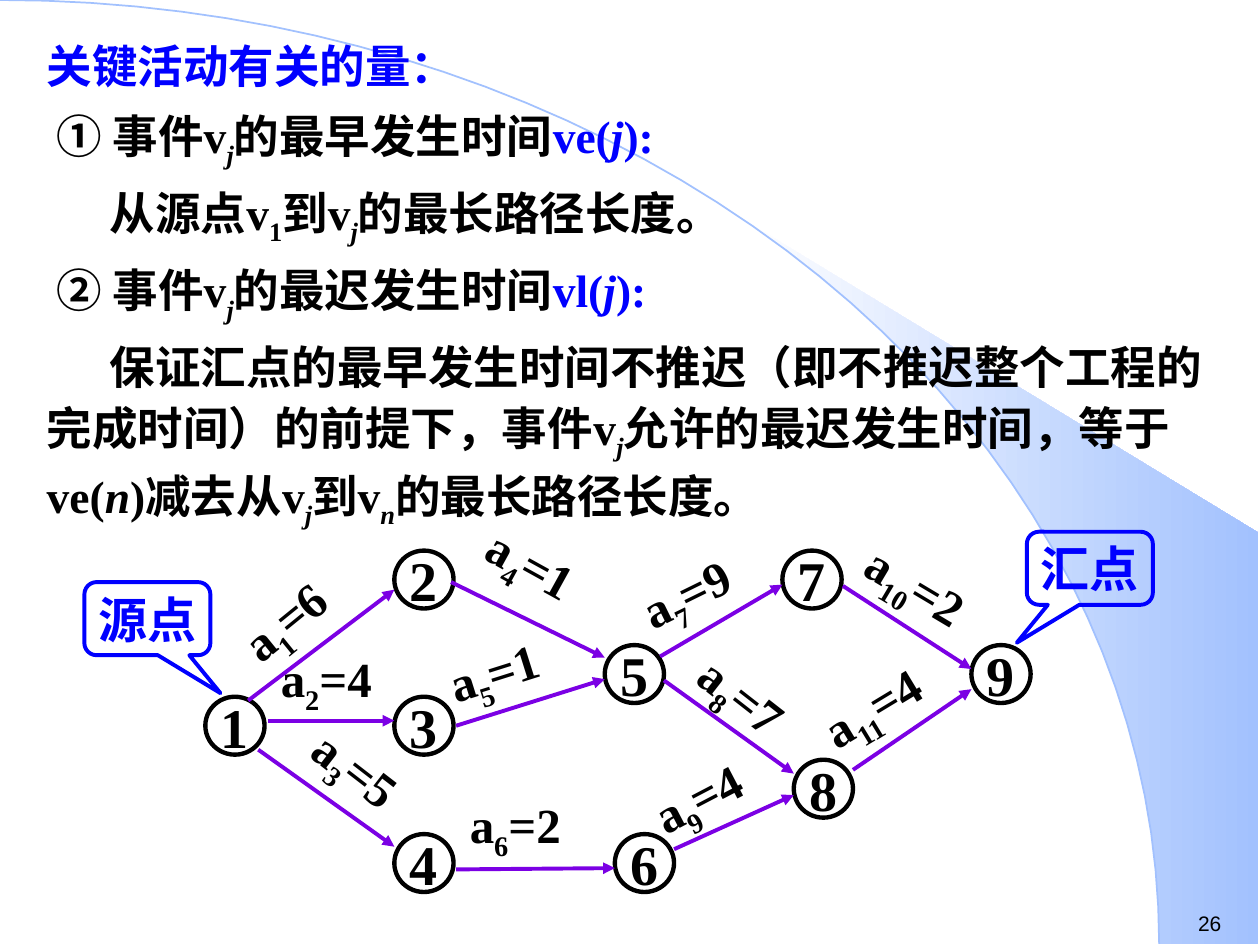
import math
from dataclasses import dataclass
from typing import NamedTuple

import pptx
import pptx.dml.color
import pptx.enum.shapes
import pptx.enum.text
import pptx.oxml
import pptx.oxml.ns
import pptx.util
from pptx.util import Inches

RGB = pptx.dml.color.RGBColor
SHAPE = pptx.enum.shapes.MSO_SHAPE
ALIGN = pptx.enum.text.PP_ALIGN
ANCHOR = pptx.enum.text.MSO_ANCHOR
AUTO = pptx.enum.text.MSO_AUTO_SIZE


@dataclass(frozen=True)
class Theme:
    serif: str = "Times New Roman"
    sans: str = "Arial"
    black: RGB = RGB(0, 0, 0)
    blue: RGB = RGB(0, 0, 0xFF)
    purple: RGB = RGB(0x7B, 0, 0xE4)
    sky: RGB = RGB(0xA2, 0xC1, 0xFE)
    white: RGB = RGB(0xFF, 0xFF, 0xFF)
    body_size: float = 26
    node_size: float = 32
    label_size: float = 28
    page_size: float = 12


THEME = Theme()


class Span(NamedTuple):
    text: str
    sub: bool = False
    italic: bool = False
    color: RGB = THEME.black


class Line(NamedTuple):
    spans: list[Span]
    indent: float = 0


class Node(NamedTuple):
    name: str
    left: float
    top: float


class Activity(NamedTuple):
    """An arrow from (x1, y1) to (x2, y2) and its rotated label."""
    number: str
    weight: str
    x1: float
    y1: float
    x2: float
    y2: float
    label_left: float
    label_top: float
    angle: float = 0
    label_width: float = 1.42


class Callout(NamedTuple):
    text: str
    left: float
    top: float
    pointer_x: float


SUB_J = Span("j", sub=True, italic=True)


def definition(start: str, function: str) -> list[Span]:
    return [Span(start), SUB_J,
            Span("的最早发生时间" if function == "ve" else "的最迟发生时间"),
            Span(f"{function}(", color=THEME.blue),
            Span("j", italic=True, color=THEME.blue),
            Span("):", color=THEME.blue)]


LINES = [
    Line([Span("关键活动有关的量：", color=THEME.blue)]),
    Line(definition("① 事件v", "ve"), 0.08),
    Line([Span("从源点v"), Span("1", sub=True), Span("到v"), SUB_J,
          Span("的最长路径长度。")], 0.5),
    Line(definition("② 事件v", "vl"), 0.08),
    Line([Span("保证汇点的最早发生时间不推迟（即不推迟整个工程的完成时间）的前提下，事件v"),
          SUB_J, Span("允许的最迟发生时间，等于ve("), Span("n", italic=True),
          Span(")减去从v"), SUB_J, Span("到v"), Span("n", sub=True, italic=True),
          Span("的最长路径长度。")], 0.5),
]

NODES = [
    Node("1", 1.63, 5.53), Node("2", 3.13, 4.37), Node("3", 3.13, 5.53),
    Node("4", 3.13, 6.62), Node("5", 4.8, 5.12), Node("6", 4.88, 6.62),
    Node("7", 6.21, 4.37), Node("8", 6.3, 6.03), Node("9", 7.71, 5.12),
]

ACTIVITIES = [
    Activity("1", "6", 1.97, 5.56, 3.13, 4.68, 1.77, 4.56, 320.9, 1.17),
    Activity("2", "4", 2.13, 5.72, 3.13, 5.72, 2.13, 5.1),
    Activity("3", "5", 2.05, 5.95, 3.13, 6.72, 2.32, 5.97, 37.7),
    Activity("4", "1", 3.58, 4.62, 4.8, 5.22, 3.73, 4.31, 28.9),
    Activity("5", "1", 3.62, 5.76, 4.8, 5.39, 3.45, 4.97, 342.4),
    Activity("6", "2", 3.62, 6.9, 4.88, 6.89, 3.63, 6.26),
    Activity("7", "9", 5.24, 5.21, 6.21, 4.64, 4.96, 4.31, 333.8),
    Activity("8", "7", 5.27, 5.4, 6.3, 6.14, 5.38, 5.39, 38),
    Activity("9", "4", 5.35, 6.74, 6.3, 6.31, 5.05, 5.93, 332.4),
    Activity("10", "2", 6.69, 4.65, 7.71, 5.31, 6.73, 4.46, 30.9),
    Activity("11", "4", 6.77, 6.11, 7.71, 5.47, 6.38, 5.22, 328.8),
]

CALLOUTS = [Callout("源点", 0.67, 4.62, 0.58), Callout("汇点", 8.15, 4.22, -0.58)]


def add_spans(paragraph, spans: list[Span], size: float) -> None:
    for span in spans:
        run = paragraph.add_run()
        run.text = span.text
        style_font(run.font, size, span.color)
        run.font.italic = span.italic
        if span.sub:
            run._r.get_or_add_rPr().set("baseline", "-25000")


def style_font(font, size: float, color: RGB, name: str = THEME.serif, bold: bool = True) -> None:
    font.name, font.size, font.bold = name, pptx.util.Pt(size), bold
    font.color.rgb = color


def outline(shape, color: RGB, width: float) -> None:
    shape.shadow.inherit = False
    shape.fill.background()
    shape.line.color.rgb = color
    shape.line.width = pptx.util.Pt(width)


def centre_text(shape, text: str, size: float, color: RGB) -> None:
    frame = shape.text_frame
    frame.margin_left = frame.margin_right = frame.margin_top = frame.margin_bottom = 0
    frame.word_wrap = False
    frame.vertical_anchor = ANCHOR.MIDDLE
    frame.text = text
    frame.paragraphs[0].alignment = ALIGN.CENTER
    style_font(frame.paragraphs[0].runs[0].font, size, color)


def add_background(shapes) -> None:
    """Draw a quarter ellipse and the shaded beam that follows its lower part."""
    radius_x, radius_y = 9.2, 7.49

    def arc(start: float, steps: int = 40) -> list[tuple[int, int]]:
        angles = [start + (math.pi / 2 - start) * i / steps for i in range(steps + 1)]
        return [(Inches(radius_x * math.sin(a)), Inches(radius_y * (1 - math.cos(a))))
                for a in angles]

    def trace(points: list[tuple[int, int]], close: bool):
        builder = shapes.build_freeform(*points[0])
        builder.add_line_segments(points[1:], close=close)
        return builder.convert_to_shape()

    corners = [(Inches(9.99), Inches(7.49)), (Inches(9.99), Inches(4.23))]
    beam = trace(arc(math.asin(5.89 / radius_x)) + corners, close=True)
    beam.shadow.inherit = False
    beam.line.fill.background()
    beam.fill.gradient()
    beam.fill.gradient_angle = 0
    for stop, color, position in zip(beam.fill.gradient_stops, (THEME.white, THEME.sky), (0, 1)):
        stop.color.rgb, stop.position = color, position
    outline(trace(arc(0), close=False), THEME.sky, 1)


def fill_body(body) -> None:
    body.left, body.top, body.width, body.height = map(Inches, (0.27, 0.25, 9.53, 3.78))
    frame = body.text_frame
    frame.auto_size = AUTO.NONE
    for i, line in enumerate(LINES):
        paragraph = frame.add_paragraph() if i else frame.paragraphs[0]
        properties = paragraph._p.get_or_add_pPr()
        properties.set("marL", "0")
        properties.set("indent", str(Inches(line.indent)))
        properties.append(pptx.oxml.parse_xml(
            f"<a:buNone {pptx.oxml.ns.nsdecls('a')}/>"))
        paragraph.line_spacing = 1.1 if i else 1.0
        paragraph.space_before = pptx.util.Pt(0.2 * THEME.body_size if i else 0)
        add_spans(paragraph, line.spans, THEME.body_size)


def add_node(shapes, node: Node) -> None:
    circle = shapes.add_shape(SHAPE.OVAL, Inches(node.left), Inches(node.top),
                              Inches(0.47), Inches(0.46))
    outline(circle, THEME.black, 2.5)
    centre_text(circle, node.name, THEME.node_size, THEME.black)


def add_activity(shapes, activity: Activity) -> None:
    arrow = shapes.add_connector(
        pptx.enum.shapes.MSO_CONNECTOR.STRAIGHT, Inches(activity.x1), Inches(activity.y1),
        Inches(activity.x2), Inches(activity.y2))
    arrow.line.color.rgb = THEME.purple
    arrow.line.width = pptx.util.Pt(2.25)
    namespace = pptx.oxml.ns.nsdecls("a")
    arrow.line._get_or_add_ln().append(
        pptx.oxml.parse_xml(f'<a:tailEnd {namespace} type="triangle"/>'))
    arrow._element.spPr.append(pptx.oxml.parse_xml(f"<a:effectLst {namespace}/>"))

    label = shapes.add_textbox(Inches(activity.label_left), Inches(activity.label_top),
                               Inches(activity.label_width), Inches(0.57))
    label.rotation = activity.angle
    label.text_frame.word_wrap = True
    label.text_frame.auto_size = AUTO.SHAPE_TO_FIT_TEXT
    add_spans(label.text_frame.paragraphs[0],
              [Span("a"), Span(activity.number, sub=True), Span(f"={activity.weight}")],
              THEME.label_size)


def add_callout(shapes, callout: Callout) -> None:
    bubble = shapes.add_shape(SHAPE.ROUNDED_RECTANGULAR_CALLOUT, Inches(callout.left),
                              Inches(callout.top), Inches(1), Inches(0.58))
    bubble.adjustments[0], bubble.adjustments[1] = callout.pointer_x, 1.02
    outline(bubble, THEME.blue, 2.25)
    centre_text(bubble, callout.text, THEME.label_size, THEME.blue)


def add_page_number(shapes) -> None:
    number = shapes.add_textbox(Inches(9.41), Inches(7.18), Inches(0.59), Inches(0.3))
    number.text_frame.word_wrap = True
    number.text_frame.text = "26"
    style_font(number.text_frame.paragraphs[0].runs[0].font, THEME.page_size,
               THEME.black, THEME.sans, bold=False)


def main() -> None:
    deck = pptx.Presentation()
    deck.slide_width, deck.slide_height = Inches(10), Inches(7.5)
    slide = deck.slides.add_slide(deck.slide_layouts[1])
    shapes = slide.shapes
    title, body = shapes.title, slide.placeholders[1]
    title._element.getparent().remove(title._element)
    add_background(shapes)
    add_page_number(shapes)
    shapes._spTree.append(body._element)  # bring the text in front of the background
    fill_body(body)
    for node in NODES:
        add_node(shapes, node)
    for activity in ACTIVITIES:
        add_activity(shapes, activity)
    for callout in CALLOUTS:
        add_callout(shapes, callout)
    deck.save("out.pptx")


if __name__ == "__main__":
    main()
